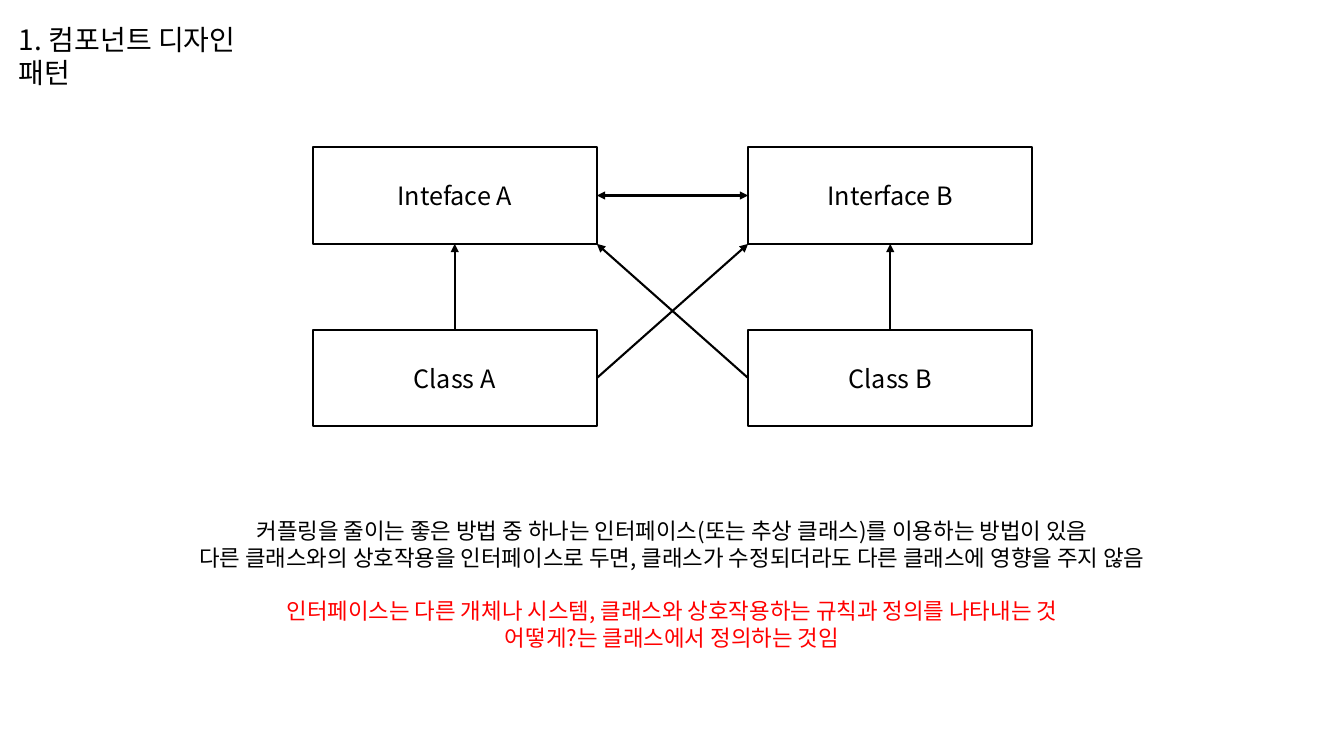
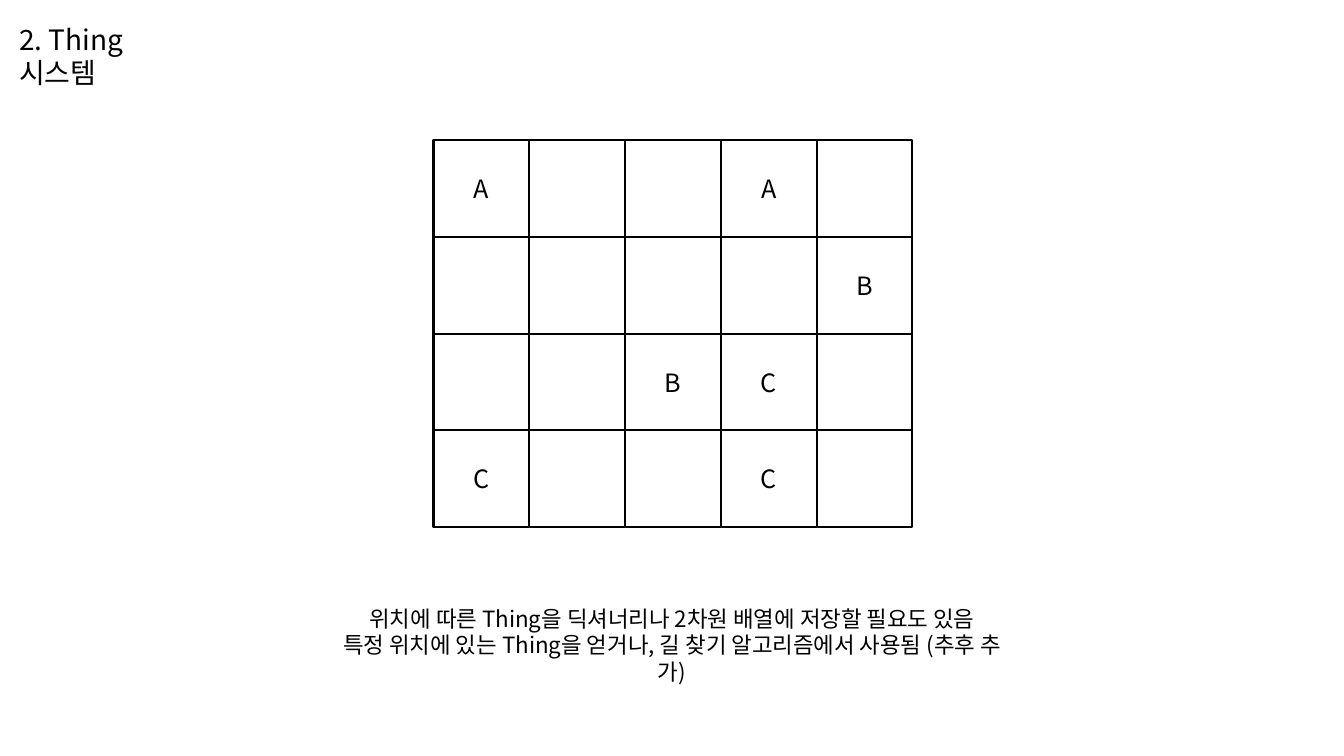
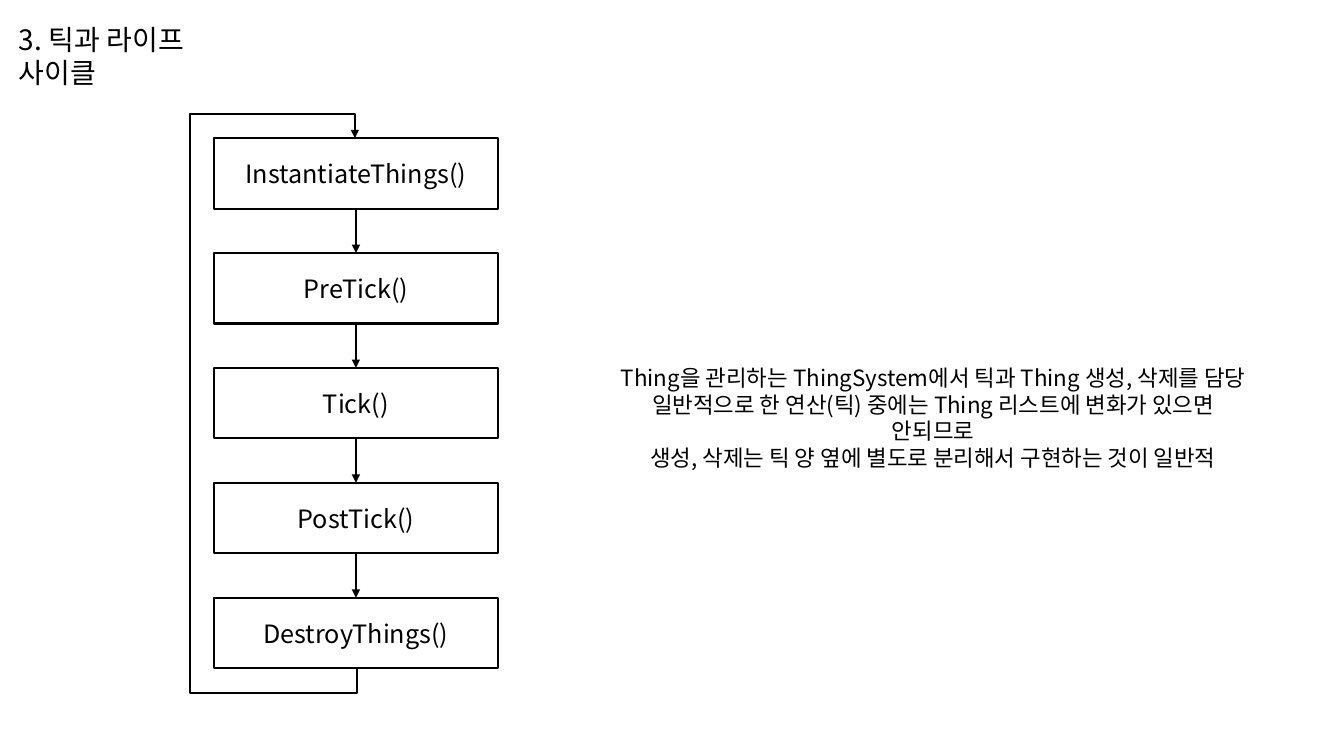
from dataclasses import dataclass

from lxml.etree import SubElement
from pptx import Presentation
from pptx.dml.color import RGBColor as Color
from pptx.enum.shapes import MSO_CONNECTOR as Wire, MSO_SHAPE as Form
from pptx.enum.text import MSO_ANCHOR as Anchor, MSO_AUTO_SIZE as Auto, PP_ALIGN as Align
from pptx.oxml.ns import qn
from pptx.shapes.autoshape import Shape
from pptx.shapes.connector import Connector
from pptx.shapes.shapetree import _BaseGroupShapes as Shapes
from pptx.slide import Slide
from pptx.text.text import TextFrame
from pptx.util import Inches, Pt

TOP, LEFT, BOTTOM, RIGHT = range(4)


@dataclass(frozen=True)
class Theme:
    ink: Color = Color(0, 0, 0)
    paper: Color = Color(255, 255, 255)
    accent: Color = Color(255, 0, 0)
    font: str = "Noto Sans CJK KR"
    title: int = 20
    label: int = 18
    body: int = 16
    stroke: float = 1.5
    pitch: float = 1.2


THEME = Theme()


@dataclass(frozen=True)
class Line:
    text: str
    color: Color = THEME.ink
    gap: float = 0


@dataclass(frozen=True)
class Area:
    left: float
    top: float
    width: float
    height: float


def write(frame: TextFrame, lines: list[Line], *, size: int,
          align: Align = Align.CENTER, anchor: Anchor = Anchor.TOP) -> None:
    frame.word_wrap = True
    frame.vertical_anchor = anchor
    for i, line in enumerate(lines):
        para = frame.paragraphs[0] if i == 0 else frame.add_paragraph()
        para.alignment = align
        para.line_spacing = Pt(size * THEME.pitch)
        para.space_before = Pt(line.gap)
        run = para.add_run()
        run.text = line.text
        font = run.font
        font.size = Pt(size)
        font.color.rgb = line.color
        font.name = THEME.font
        SubElement(run._r.get_or_add_rPr(), qn("a:ea"), typeface=THEME.font)


def note(slide: Slide, area: Area, lines: list[Line], size: int = THEME.body,
         align: Align = Align.CENTER) -> None:
    box = slide.shapes.add_textbox(Inches(area.left), Inches(area.top),
                                   Inches(area.width), Inches(area.height))
    box.text_frame.auto_size = Auto.SHAPE_TO_FIT_TEXT
    write(box.text_frame, lines, size=size, align=align)


def start(deck: Presentation, title: str, width: float) -> Slide:
    """Add a blank slide with its title."""
    slide = deck.slides.add_slide(deck.slide_layouts[6])
    note(slide, Area(0.09, 0.17, width, 0.44), [Line(title)], THEME.title, Align.LEFT)
    return slide


def block(shapes: Shapes, area: Area, label: str = "") -> Shape:
    box = shapes.add_shape(Form.RECTANGLE, Inches(area.left), Inches(area.top),
                           Inches(area.width), Inches(area.height))
    box.shadow.inherit = False
    box.fill.solid()
    box.fill.fore_color.rgb = THEME.paper
    box.line.color.rgb = THEME.ink
    box.line.width = Pt(THEME.stroke)
    if label:
        write(box.text_frame, [Line(label)], size=THEME.label, anchor=Anchor.MIDDLE)
    return box


def spot(box: Shape, side: int) -> tuple[int, int]:
    """Return the middle of a side."""
    mid_x, mid_y = box.left + box.width // 2, box.top + box.height // 2
    return {TOP: (mid_x, box.top), LEFT: (box.left, mid_y),
            BOTTOM: (mid_x, box.top + box.height),
            RIGHT: (box.left + box.width, mid_y)}[side]


def style(wire: Connector, both: bool = False) -> None:
    """Set the stroke, arrowheads and flat look of a connector."""
    wire.line.color.rgb = THEME.ink
    wire.line.width = Pt(THEME.stroke)
    props = wire._element.spPr
    stroke = props.find(qn("a:ln"))
    for end in ("a:headEnd", "a:tailEnd") if both else ("a:tailEnd",):
        SubElement(stroke, qn(end), type="triangle")
    SubElement(props, qn("a:effectLst"))


def link(slide: Slide, tail: Shape, side: int, head: Shape, goal: int,
         both: bool = False) -> None:
    wire = slide.shapes.add_connector(Wire.STRAIGHT, *spot(tail, side), *spot(head, goal))
    wire.begin_connect(tail, side)
    wire.end_connect(head, goal)
    style(wire, both)


def cross(slide: Slide, tail: Shape, side: int, corner: tuple[int, int]) -> None:
    """Draw an arrow from a side to a free corner."""
    wire = slide.shapes.add_connector(Wire.STRAIGHT, *spot(tail, side), *corner)
    wire.begin_connect(tail, side)
    style(wire)


def loop(slide: Slide, last: Shape, first: Shape, out: float, reach: float) -> None:
    """Lead an arrow from the last box round the left side to the first."""
    mid, low = spot(last, BOTTOM)
    high = spot(first, TOP)[1]
    span, thin = low - high, Inches(0.02)
    left, top = mid - span // 2, (low + high - thin) // 2
    wire = slide.shapes.add_connector(Wire.ELBOW, left, top, left + span, top + thin)
    style(wire)
    props = wire._element.spPr
    frame = props.find(qn("a:xfrm"))
    frame.set("rot", "5400000")
    frame.set("flipH", "1")
    form = props.find(qn("a:prstGeom"))
    form.set("prst", "bentConnector5")
    guides = form.find(qn("a:avLst"))
    bends = (-Inches(out) / span, Inches(reach) / thin, 1 + Inches(out) / span)
    for i, bend in enumerate(bends, 1):
        SubElement(guides, qn("a:gd"), name=f"adj{i}", fmla=f"val {round(bend * 100000)}")


def pattern(deck: Presentation) -> None:
    slide = start(deck, "1. 컴포넌트 디자인 패턴", 2.8)
    note(slide, Area(1.86, 5.08, 9.61, 1.45), [
        Line("커플링을 줄이는 좋은 방법 중 하나는 인터페이스(또는 추상 클래스)를 이용하는 방법이 있음"),
        Line("다른 클래스와의 상호작용을 인터페이스로 두면, 클래스가 수정되더라도 다른 클래스에 영향을 주지 않음"),
        Line("인터페이스는 다른 개체나 시스템, 클래스와 상호작용하는 규칙과 정의를 나타내는 것",
             THEME.accent, THEME.body * THEME.pitch),
        Line("어떻게?는 클래스에서 정의하는 것임", THEME.accent),
    ])
    names = (("Inteface A", "Interface B"), ("Class A", "Class B"))
    (face_a, face_b), (class_a, class_b) = [
        [block(slide.shapes, Area(3.1 + 4.32 * col, 1.46 + 1.81 * row, 2.82, 0.96), name)
         for col, name in enumerate(pair)]
        for row, pair in enumerate(names)]
    link(slide, class_a, TOP, face_a, BOTTOM)
    link(slide, class_b, TOP, face_b, BOTTOM)
    link(slide, face_a, RIGHT, face_b, LEFT, both=True)
    base = face_a.top + face_a.height
    cross(slide, class_b, LEFT, (face_a.left + face_a.width, base))
    cross(slide, class_a, RIGHT, (face_b.left, base))


def things(deck: Presentation) -> None:
    slide = start(deck, "2. Thing 시스템", 1.95)
    note(slide, Area(3.17, 5.95, 6.99, 0.64), [
        Line("위치에 따른 Thing을 딕셔너리나 2차원 배열에 저장할 필요도 있음"),
        Line("특정 위치에 있는 Thing을 얻거나, 길 찾기 알고리즘에서 사용됨 (추후 추가)"),
    ])
    wide, high = 0.95, 0.96
    for row, marks in enumerate(("A..A.", "....B", "..BC.", "C..C.")):
        group = slide.shapes.add_group_shape()
        for col, mark in enumerate(marks):
            area = Area(4.3 + wide * col, 1.39 + high * row, wide, high)
            block(group.shapes, area, mark.strip("."))


def cycle(deck: Presentation) -> None:
    slide = start(deck, "3. 틱과 라이프 사이클", 2.6)
    steps = ("InstantiateThings()", "PreTick()", "Tick()", "PostTick()", "DestroyThings()")
    boxes = [block(slide.shapes, Area(2.12, 1.37 + 1.14 * i, 2.82, 0.7), step)
             for i, step in enumerate(steps)]
    for tail, head in zip(boxes, boxes[1:]):
        link(slide, tail, BOTTOM, head, TOP)
    loop(slide, boxes[-1], boxes[0], out=0.24, reach=1.65)
    note(slide, Area(5.94, 3.56, 6.63, 0.91), [
        Line("Thing을 관리하는 ThingSystem에서 틱과 Thing 생성, 삭제를 담당"),
        Line("일반적으로 한 연산(틱) 중에는 Thing 리스트에 변화가 있으면 안되므로"),
        Line("생성, 삭제는 틱 양 옆에 별도로 분리해서 구현하는 것이 일반적"),
    ])


def main() -> None:
    deck = Presentation()
    deck.slide_width, deck.slide_height = Inches(13.33), Inches(7.5)
    for build in (pattern, things, cycle):
        build(deck)
    deck.save("out.pptx")


if __name__ == "__main__":
    main()
